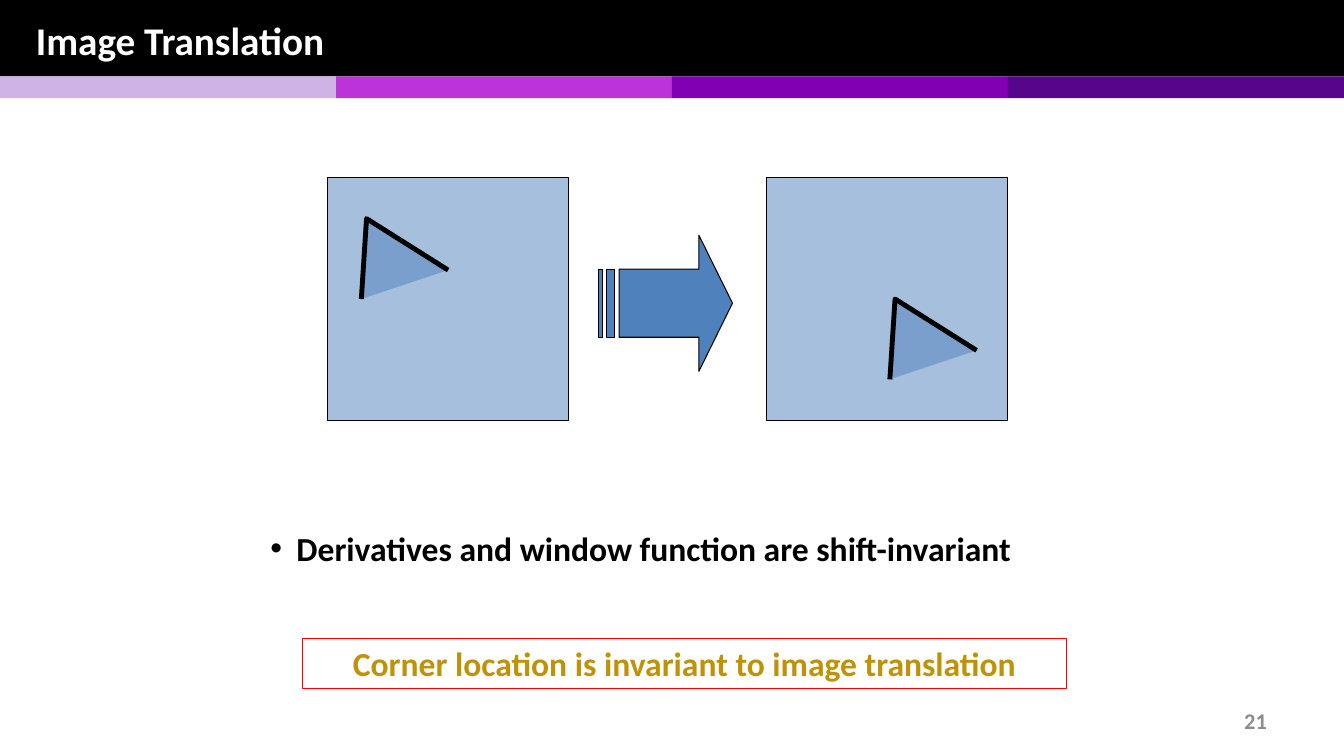
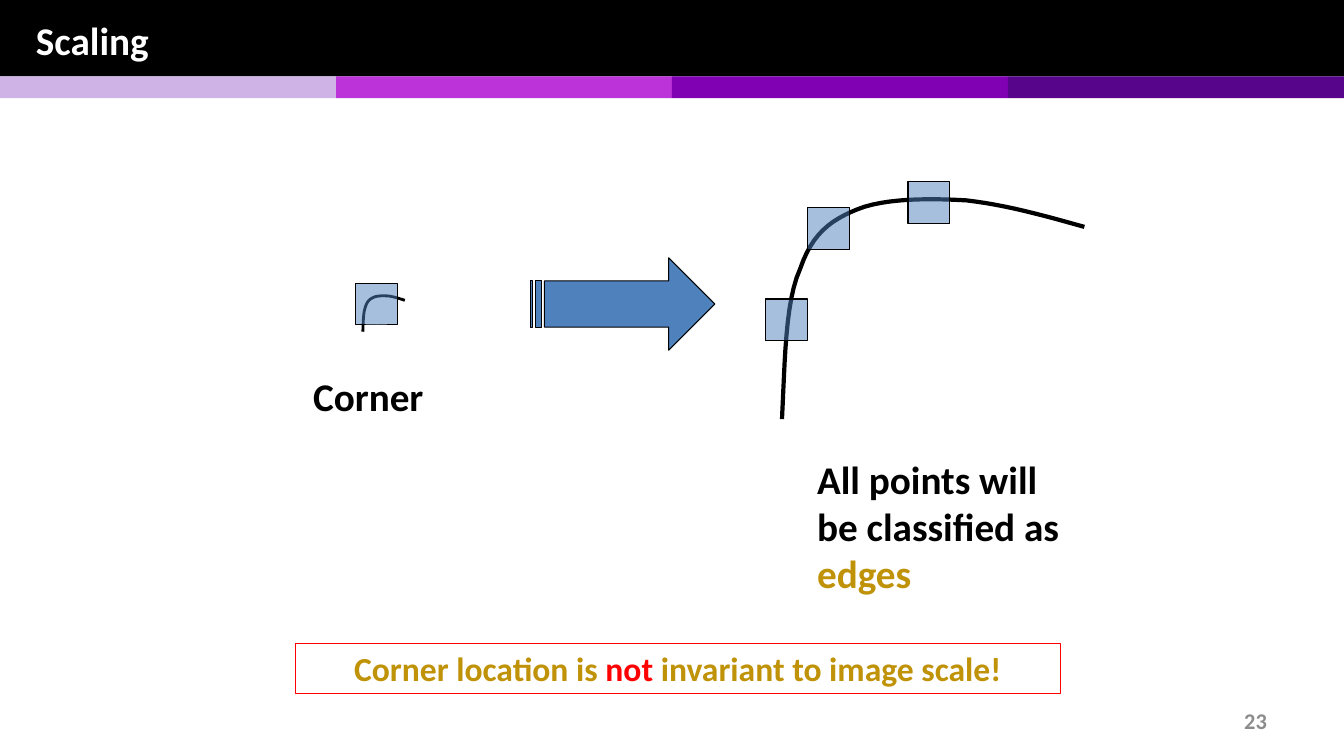
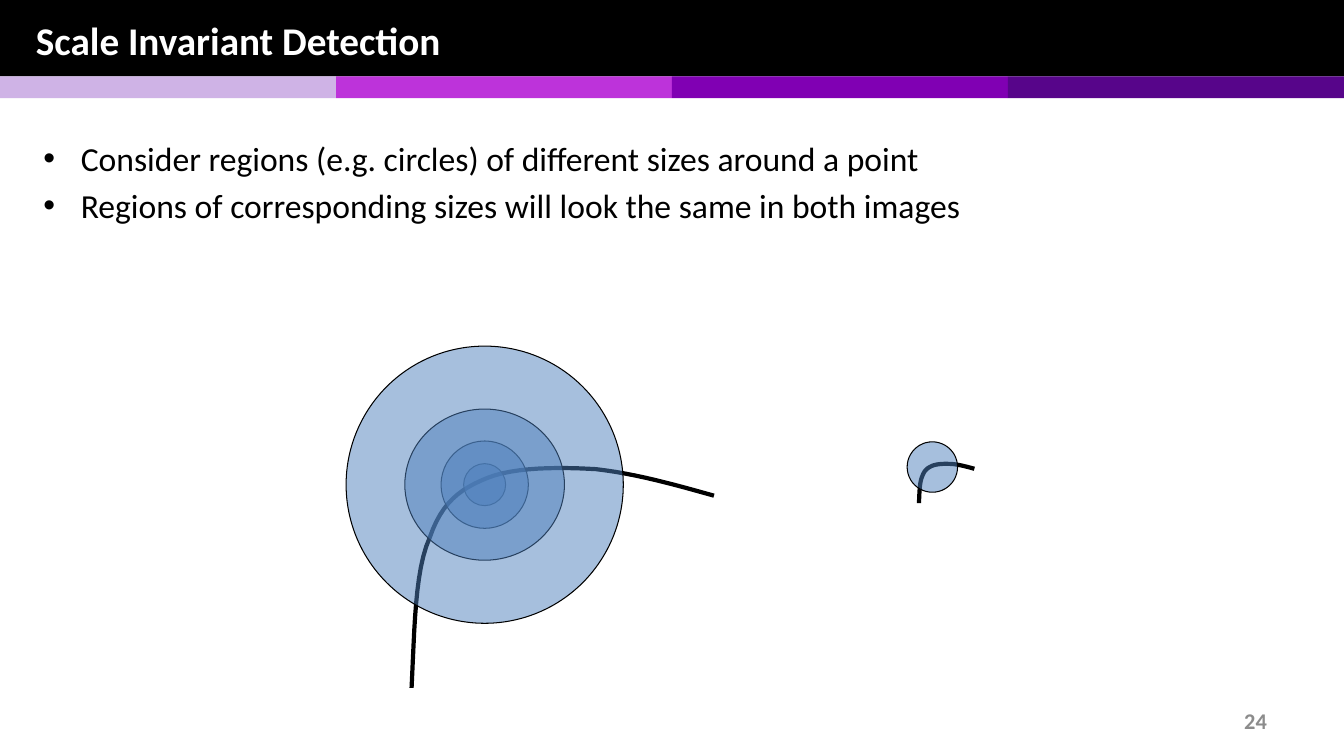
from collections import namedtuple

from lxml import etree
from pptx import Presentation
from pptx.dml.color import RGBColor
from pptx.enum.shapes import MSO_SHAPE as SHAPE
from pptx.enum.text import MSO_ANCHOR as ANCHOR, PP_ALIGN as ALIGN
from pptx.oxml.ns import qn
from pptx.util import Emu, Inches, Pt

# Slide grid: 160 columns by 90 rows of square cells
COLS, ROWS = 160, 90
CELL = Inches(1) // 12
Box = namedtuple("Box", "x y w h")

FONT = "Calibri"
BLACK = RGBColor(0x00, 0x00, 0x00)
WHITE = RGBColor(0xFF, 0xFF, 0xFF)
GRAY = RGBColor(0x8C, 0x8C, 0x8C)
BLUE = RGBColor(0x4F, 0x81, 0xBD)
GOLD = RGBColor(0xC0, 0x92, 0x07)
RED = RGBColor(0xFF, 0x00, 0x00)
STRIPES = (RGBColor(0xCF, 0xB3, 0xE6), RGBColor(0xBD, 0x33, 0xDA),
           RGBColor(0x80, 0x00, 0xB3), RGBColor(0x57, 0x05, 0x8A))

# Outlines as shares of their box
TRIANGLE = [(0, 1), (0.06, 0), (1, 0.64)]
CURVE_START = (0, 1)
CURVE = [((0.01, 0.74), (0.01, 0.47), (0.06, 0.32)),
         ((0.1, 0.16), (0.16, 0.1), (0.25, 0.05)),
         ((0.34, 0), (0.49, 0), (0.61, 0.01)),
         ((0.74, 0.03), (0.87, 0.08), (1, 0.13))]
CURVE_STEPS = 12


def emu(box):
    return [Emu(round(v * CELL)) for v in box]


def part(box, x, y, w, h):
    """Box at the given shares of another box."""
    return Box(box.x + x * box.w, box.y + y * box.h, w * box.w, h * box.h)


def paint(sp, fill=None, line=None, width=0.75, alpha=None):
    sp.shadow.inherit = False
    if fill is None:
        sp.fill.background()
    else:
        sp.fill.solid()
        sp.fill.fore_color.rgb = fill
    if alpha:
        clr = sp.fill._xPr.find(qn("a:solidFill"))[0]
        etree.SubElement(clr, qn("a:alpha")).set("val", str(alpha * 1000))
    if line is None:
        sp.line.fill.background()
    else:
        sp.line.color.rgb = line
        sp.line.width = Pt(width)
    return sp


def add_preset(s, kind, box, **look):
    return paint(s.shapes.add_shape(kind, *emu(box)), **look)


def add_window(s, kind, box):
    """Half-transparent blue region."""
    return add_preset(s, kind, box, fill=BLUE, line=BLACK, alpha=50)


def add_outline(s, box, points, **look):
    pts = [emu((box.x + u * box.w, box.y + v * box.h)) for u, v in points]
    fb = s.shapes.build_freeform(*pts[0])
    fb.add_line_segments(pts[1:], close=False)
    sp = paint(fb.convert_to_shape(), line=BLACK, **look)
    etree.SubElement(sp.line._get_or_add_ln(), qn("a:round"))
    return sp


def add_curve(s, box, width=3):
    points, start = [CURVE_START], CURVE_START
    for c1, c2, end in CURVE:
        for i in range(1, CURVE_STEPS + 1):
            t = i / CURVE_STEPS
            weights = ((1 - t) ** 3, 3 * t * (1 - t) ** 2, 3 * t * t * (1 - t), t ** 3)
            points.append(tuple(sum(k * p[axis] for k, p in zip(weights, (start, c1, c2, end)))
                                for axis in (0, 1)))
        start = end
    add_outline(s, box, points, width=width)


def add_arrow(s, box, head):
    sp = add_preset(s, SHAPE.STRIPED_RIGHT_ARROW, box, fill=BLUE, line=BLACK)
    sp.adjustments[1] = head


def write(sp, paragraphs, size, bold=True, align=ALIGN.LEFT, anchor=ANCHOR.TOP,
          bullet=0, before=0):
    """Each paragraph is a list of (text, colour); bullet is the indent in inches."""
    tf = sp.text_frame
    tf.word_wrap = True
    tf.vertical_anchor = anchor
    for i, runs in enumerate(paragraphs):
        p = tf.paragraphs[0] if i == 0 else tf.add_paragraph()
        p.alignment = align
        if i:
            p.space_before = Pt(before)
        if bullet:
            pPr = p._p.get_or_add_pPr()
            pPr.set("marL", str(Inches(bullet)))
            pPr.set("indent", str(-Inches(bullet)))
            etree.SubElement(pPr, qn("a:buFont")).set("typeface", "Arial")
            etree.SubElement(pPr, qn("a:buChar")).set("char", "•")
        for text, color in runs:
            r = p.add_run()
            r.text = text
            r.font.name, r.font.size, r.font.bold = FONT, Pt(size), bold
            r.font.color.rgb = color


def add_text(s, box, paragraphs, size, **style):
    write(s.shapes.add_textbox(*emu(box)), paragraphs, size, **style)


def add_callout(s, box, runs):
    sp = add_preset(s, SHAPE.RECTANGLE, box, line=RED)
    write(sp, [runs], 24, align=ALIGN.CENTER)


def add_base(prs, title, number):
    """Slide with title band, stripes and number."""
    s = prs.slides.add_slide(prs.slide_layouts[6])
    add_preset(s, SHAPE.RECTANGLE, Box(0, 0, COLS, 9.1), fill=BLACK)
    step = COLS / len(STRIPES)
    for i, color in enumerate(STRIPES):
        add_preset(s, SHAPE.RECTANGLE, Box(i * step, 9.1, step, 2.6), fill=color)
    add_text(s, Box(3.1, 0.2, 153.8, 9), [[(title, WHITE)]], 28, anchor=ANCHOR.MIDDLE)
    add_text(s, Box(114.7, 83.4, 37.3, 4.8), [[(str(number), GRAY)]], 16,
             align=ALIGN.RIGHT, anchor=ANCHOR.MIDDLE)
    return s


def add_framed_triangle(s, box, x, y):
    add_window(s, SHAPE.RECTANGLE, box)
    add_outline(s, part(box, x, y, 0.36, 0.33), TRIANGLE, fill=BLUE, alpha=50, width=3.5)


def translation_slide(prs):
    s = add_base(prs, "Image Translation", 21)
    add_framed_triangle(s, Box(39, 21.1, 28.7, 29), 0.14, 0.17)
    add_arrow(s, Box(71.2, 28, 16, 16.2), head=0.25)
    add_framed_triangle(s, Box(91.3, 21.1, 28.7, 29), 0.51, 0.5)
    add_text(s, Box(31, 62.2, 101, 6),
             [[("Derivatives and window function are shift-invariant", BLACK)]], 24, bullet=0.26)
    add_callout(s, Box(36, 76, 91, 6),
                [("Corner location is invariant to image translation", GOLD)])


def scaling_slide(prs):
    s = add_base(prs, "Scaling", 23)
    # Small corner, seen through one window
    add_curve(s, Box(43.2, 35.2, 5, 4.3), width=2)
    add_window(s, SHAPE.RECTANGLE, Box(42.3, 33.7, 5, 5))
    add_text(s, Box(36.1, 43.7, 21, 6.8), [[("Corner", BLACK)]], 28)
    add_arrow(s, Box(63.1, 30.7, 22, 11), head=0.5)
    # Enlarged corner, same window at three points
    add_curve(s, Box(93.1, 23.6, 36, 26.3))
    for x, y in ((108.1, 21.6), (96.1, 24.7), (91.1, 35.6)):
        add_window(s, SHAPE.RECTANGLE, Box(x, y, 5, 5))
    add_text(s, Box(96.1, 53.6, 33, 18.1),
             [[("All points will be classified as ", BLACK), ("edges", GOLD)]], 28)
    add_callout(s, Box(35.2, 76.6, 91, 6),
                [("Corner location is ", GOLD), ("not", RED),
                 (" invariant to image scale!", GOLD)])


def detection_slide(prs):
    s = add_base(prs, "Scale Invariant Detection", 24)
    add_text(s, Box(4, 15.8, 144, 14),
             [[("Consider regions (e.g. circles) of different sizes around a point", BLACK)],
              [("Regions of corresponding sizes will look the same in both images", BLACK)]],
             24, bold=False, bullet=0.37, before=4.8)
    # Large corner with concentric regions
    add_curve(s, Box(49, 55.6, 36, 26.3))
    cx, cy = 57.7, 57.7
    for w, h in ((5, 5), (10.4, 10.4), (19, 18), (33, 33)):
        add_window(s, SHAPE.OVAL, Box(cx - w / 2, cy - h / 2, w, h))
    # Small corner with its matching region
    add_curve(s, Box(109.4, 55.2, 6.6, 4.7))
    add_window(s, SHAPE.OVAL, Box(108, 52.6, 6, 6))


def main():
    prs = Presentation()
    prs.slide_width, prs.slide_height = COLS * CELL, ROWS * CELL
    for build in (translation_slide, scaling_slide, detection_slide):
        build(prs)
    prs.save("out.pptx")


if __name__ == "__main__":
    main()
